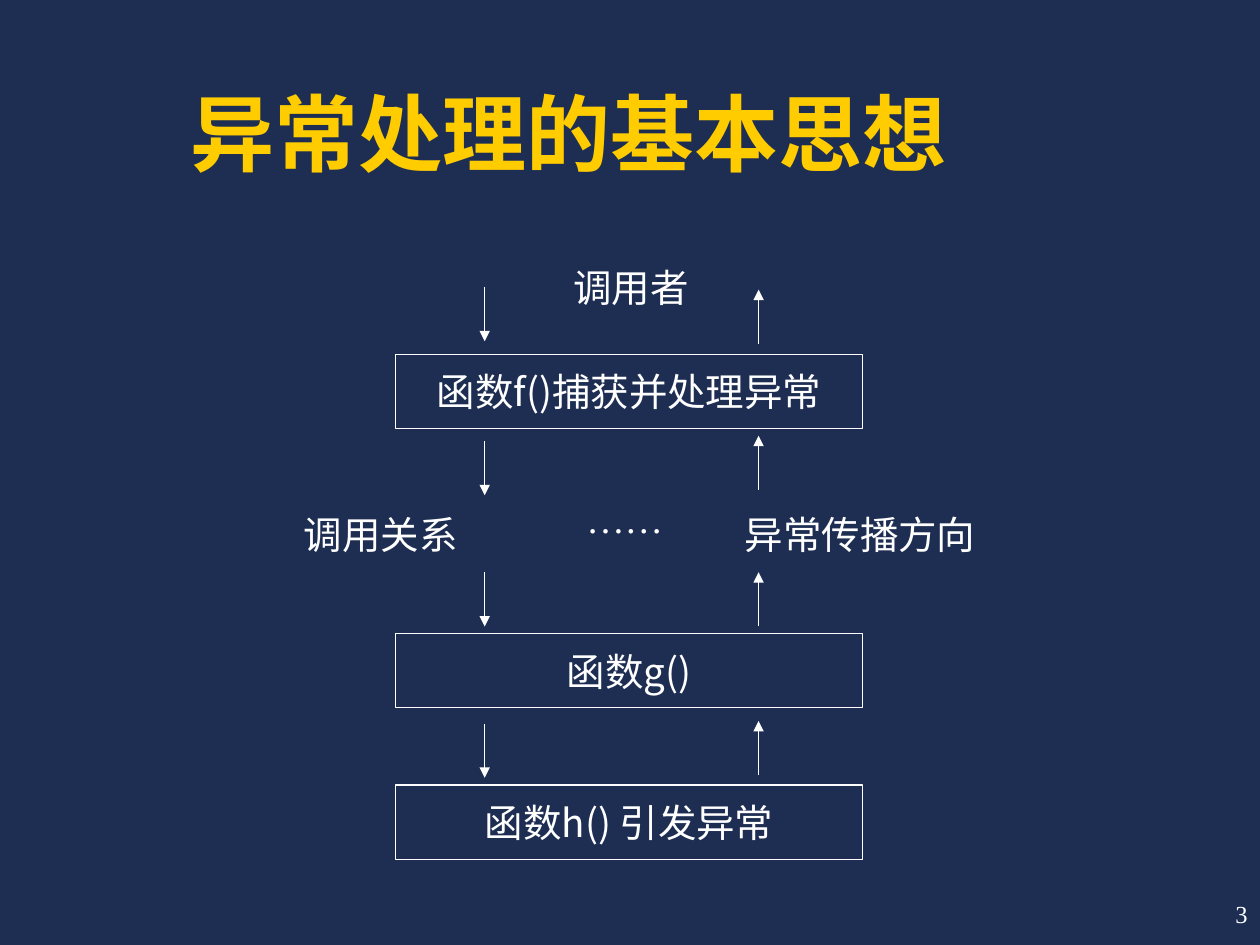
from dataclasses import dataclass

from lxml import etree
from pptx import Presentation
from pptx.dml.color import RGBColor
from pptx.enum import shapes, text
from pptx.oxml import ns
from pptx.util import Pt


@dataclass(frozen=True)
class Theme:
    background: RGBColor = RGBColor(0x1E, 0x2E, 0x53)
    ink: RGBColor = RGBColor(0xFF, 0xFF, 0xFF)
    accent: RGBColor = RGBColor(0xFF, 0xCC, 0x00)
    title_size: int = 48
    label_size: int = 22
    number_size: int = 14
    line_width: float = 0.75
    chinese: str = "Noto Sans CJK SC"
    title_font: str = "Arial"
    serif: str = "Times New Roman"


THEME = Theme()
MIDDLE, BOTTOM = text.MSO_ANCHOR.MIDDLE, text.MSO_ANCHOR.BOTTOM
LEFT, CENTER, RIGHT = text.PP_ALIGN.LEFT, text.PP_ALIGN.CENTER, text.PP_ALIGN.RIGHT


def apply(target, values):
    for name, value in values.items():
        setattr(target, name, value)


def write(shape, wording, size=THEME.label_size, font=THEME.chinese, color=THEME.ink,
          bold=False, align=CENTER, anchor=MIDDLE, side=0, edge=0):
    """Fill a shape with one formatted line; side and edge are its insets."""
    frame = shape.text_frame
    apply(frame, {
        "word_wrap": True, "vertical_anchor": anchor,
        "margin_left": Pt(side), "margin_right": Pt(side),
        "margin_top": Pt(edge), "margin_bottom": Pt(edge),
    })
    paragraph = frame.paragraphs[0]
    paragraph.alignment = align
    run = paragraph.add_run()
    run.text = wording
    apply(run.font, {"name": font, "size": Pt(size), "bold": bold})
    run.font.color.rgb = color
    # Chinese characters take their typeface from the East Asian slot
    properties = run.font._element
    properties.set("lang", "zh-CN")
    latin = properties.find(ns.qn("a:latin"))
    east_asian = etree.Element(ns.qn("a:ea"), typeface=THEME.chinese)
    latin.addnext(east_asian)


def add_label(slide, box, wording, **style):
    label = slide.shapes.add_textbox(*map(Pt, box))
    write(label, wording, **style)


def add_function_box(slide, top, wording):
    function = slide.shapes.add_shape(
        shapes.MSO_SHAPE.RECTANGLE, Pt(226), Pt(top), Pt(267), Pt(42.5))
    function.shadow.inherit = False
    function.fill.background()
    function.line.color.rgb = THEME.ink
    function.line.width = Pt(THEME.line_width)
    write(function, wording, side=7.2)


def add_arrow(slide, x, start, end):
    arrow = slide.shapes.add_connector(
        shapes.MSO_CONNECTOR.STRAIGHT, Pt(x), Pt(start), Pt(x), Pt(end))
    arrow.line.color.rgb = THEME.ink
    arrow.line.width = Pt(THEME.line_width)
    etree.SubElement(arrow.line._get_or_add_ln(), ns.qn("a:tailEnd"), type="triangle")
    etree.SubElement(arrow._element.spPr, ns.qn("a:effectLst"))


def main():
    deck = Presentation()
    apply(deck, {"slide_width": Pt(720), "slide_height": Pt(540)})
    slide = deck.slides.add_slide(deck.slide_layouts[6])
    slide.background.fill.solid()
    slide.background.fill.fore_color.rgb = THEME.background

    # Slide number and title
    add_label(slide, (570, 504, 150, 36), "3", size=THEME.number_size,
              font=THEME.serif, align=RIGHT, side=7.2, edge=3.6)
    add_label(slide, (102, 18, 564, 90), "异常处理的基本思想", size=THEME.title_size,
              font=THEME.title_font, color=THEME.accent, bold=True,
              align=LEFT, anchor=BOTTOM, side=7.2, edge=3.6)

    # Functions in the call chain
    for top, wording in ((202.5, "函数f()捕获并处理异常"),
                         (362, "函数g()"),
                         (448.5, "函数h() 引发异常")):
        add_function_box(slide, top, wording)

    # Calls run down, exceptions travel up
    arrow_length = 31
    for call_top, exception_top in ((164, 165.5), (252, 249), (327, 327), (413.5, 412)):
        add_arrow(slide, 277, call_top, call_top + arrow_length)
        add_arrow(slide, 433.5, exception_top + arrow_length, exception_top)

    # Labels around the chain
    add_label(slide, (241, 280, 232, 32.5), "……", font=THEME.serif, side=7.2)
    for box, wording in (((299, 150, 123, 28), "调用者"),
                         ((425, 291.5, 133, 28), "异常传播方向"),
                         ((156, 291.5, 123, 28), "调用关系")):
        add_label(slide, box, wording)

    deck.save("out.pptx")


if __name__ == "__main__":
    main()
